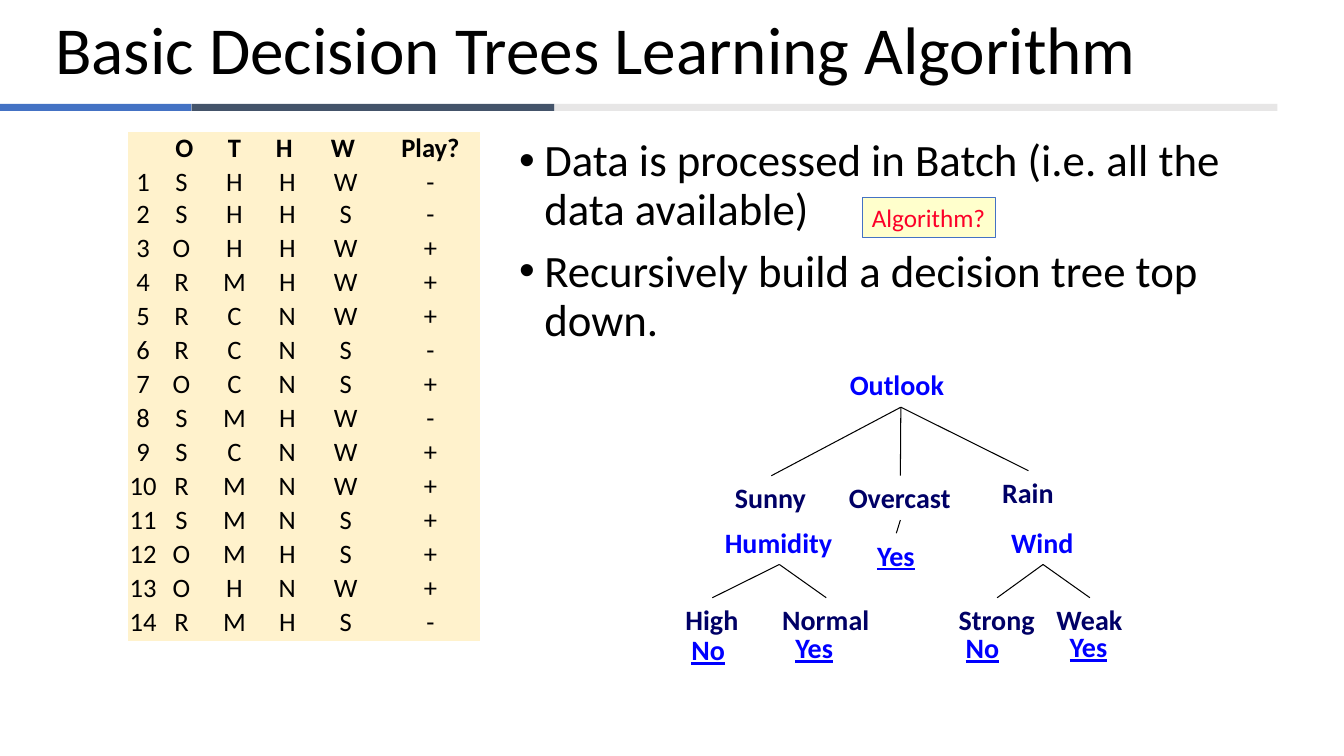
from lxml import etree
from pptx import Presentation
from pptx.dml.color import RGBColor
from pptx.enum.shapes import MSO_CONNECTOR, MSO_SHAPE
from pptx.enum.text import MSO_ANCHOR, MSO_AUTO_SIZE, PP_ALIGN
from pptx.oxml.ns import qn
from pptx.util import Inches, Pt

RECTANGLE = MSO_SHAPE.RECTANGLE
STRAIGHT = MSO_CONNECTOR.STRAIGHT
MIDDLE = MSO_ANCHOR.MIDDLE
CENTER = PP_ALIGN.CENTER
GROW = MSO_AUTO_SIZE.SHAPE_TO_FIT_TEXT
TOP, BOTTOM = 0, 2  # connection sites

BLACK = RGBColor(0x00, 0x00, 0x00)
BLUE = RGBColor(0x44, 0x72, 0xC4)
SLATE = RGBColor(0x44, 0x54, 0x6A)
LIGHT_GRAY = RGBColor(0xE7, 0xE6, 0xE6)
CREAM = RGBColor(0xFF, 0xF2, 0xCC)
PALE_YELLOW = RGBColor(0xFF, 0xFF, 0xCC)
RED = RGBColor(0xFC, 0x01, 0x28)
ATTRIBUTE_BLUE = RGBColor(0x00, 0x00, 0xFF)
VALUE_NAVY = RGBColor(0x00, 0x00, 0x66)

FONT = "Calibri"
NO_GRID_STYLE = "{2D5ABB26-0587-4C30-8999-92F81FD0307C}"

HEADINGS = ["", " O", "T", "H ", "W ", "Play?"]
DAYS = ["SHHW-", "SHHS-", "OHHW+", "RMHW+", "RCNW+", "RCNS-", "OCNS+",
        "SMHW-", "SCNW+", "RMNW+", "SMNS+", "OMHS+", "OHNW+", "RMHS-"]
COLUMN_WIDTHS = [0.3, 0.46, 0.59, 0.46, 0.7, 0.98]
FIRST_DAY_HEIGHT = 0.31  # slightly lower than the other rows

# Tree labels: text, left and top within the tree's box, width
ATTRIBUTES = [("Outlook", 1.63, 0, 1.21), ("Humidity", 0.39, 1.56, 1.28),
              ("Wind", 3.23, 1.56, 0.83)]
VALUES = [("Sunny", 0.49, 1.12, 0.92), ("Overcast", 1.62, 1.12, 1.22),
          ("Rain", 3.14, 1.07, 0.72), ("High", 0, 2.33, 0.73),
          ("Normal", 0.96, 2.33, 1.07), ("Strong", 2.71, 2.33, 0.96),
          ("Weak", 3.68, 2.33, 0.86)]
OUTCOMES = [("Yes", 1.9, 1.69, 0.58), ("No", 0.06, 2.63, 0.54),
            ("Yes", 1.09, 2.61, 0.58), ("No", 2.78, 2.61, 0.54),
            ("Yes", 3.81, 2.6, 0.58)]
LABEL_HEIGHT = 0.44
BRANCHES = {"Outlook": ["Sunny", "Overcast", "Rain"],
            "Humidity": ["High", "Normal"], "Wind": ["Strong", "Weak"]}


def style(paragraph, size, color, bold=False, underline=False):
    font = paragraph.font
    font.name, font.size, font.bold = FONT, Pt(size), bold
    font.underline = underline
    font.color.rgb = color


def add_rectangle(slide, left, top, width, height, fill):
    shape = slide.shapes.add_shape(RECTANGLE, Inches(left), Inches(top),
                                   Inches(width), Inches(height))
    shape.shadow.inherit = False
    shape.fill.solid()
    shape.fill.fore_color.rgb = fill
    shape.line.fill.background()
    return shape


def add_text_box(slide, left, top, width, height, wrap=True):
    box = slide.shapes.add_textbox(Inches(left), Inches(top),
                                   Inches(width), Inches(height))
    box.text_frame.word_wrap = wrap
    return box


def add_title(slide, left, top, width, height):
    frame = add_text_box(slide, left, top, width, height).text_frame
    frame.vertical_anchor = MIDDLE
    paragraph = frame.paragraphs[0]
    paragraph.text = "Basic Decision Trees Learning Algorithm"
    paragraph.line_spacing = 0.9
    style(paragraph, 48, BLACK)


def add_rule(slide, left, top, height):
    for width, color in [(1.9, BLUE), (3.6, SLATE), (7.17, LIGHT_GRAY)]:
        add_rectangle(slide, left, top, width, height, color)
        left += width


def add_bullets(slide, left, top, width, height):
    frame = add_text_box(slide, left, top, width, height).text_frame
    points = ["Data is processed in Batch (i.e. all the data available)",
              "Recursively build a decision tree top down."]
    for index, point in enumerate(points):
        paragraph = frame.add_paragraph() if index else frame.paragraphs[0]
        paragraph.text = point
        paragraph.line_spacing = 0.9
        if index:
            paragraph.space_before = Pt(10)
        properties = paragraph._p.get_or_add_pPr()
        properties.set("marL", str(Inches(0.25)))
        properties.set("indent", str(Inches(-0.25)))
        etree.SubElement(properties, qn("a:buFont"), typeface="Arial")
        etree.SubElement(properties, qn("a:buChar"), char="•")
        style(paragraph, 32, BLACK)


def add_callout(slide, left, top, width, height):
    shape = add_rectangle(slide, left, top, width, height, PALE_YELLOW)
    shape.line.color.rgb = BLUE
    shape.line.width = Pt(0.75)
    frame = shape.text_frame
    frame.word_wrap = False
    frame.vertical_anchor = MIDDLE
    paragraph = frame.paragraphs[0]
    paragraph.text = "Algorithm?"
    paragraph.alignment = CENTER
    style(paragraph, 18, RED)


def add_data_table(slide, left, top, width, height):
    rows = [HEADINGS] + [[str(number), *day]
                         for number, day in enumerate(DAYS, 1)]
    table = slide.shapes.add_table(len(rows), len(HEADINGS), Inches(left),
                                   Inches(top), Inches(width),
                                   Inches(height)).table
    table._tbl.tblPr.find(qn("a:tableStyleId")).text = NO_GRID_STYLE
    table.first_row = table.horz_banding = False
    for column, column_width in zip(table.columns, COLUMN_WIDTHS):
        column.width = Inches(column_width)
    row_height = (height - FIRST_DAY_HEIGHT) / (len(rows) - 1)
    for row_index, values in enumerate(rows):
        table.rows[row_index].height = Inches(
            FIRST_DAY_HEIGHT if row_index == 1 else row_height)
        for column_index, value in enumerate(values):
            cell = table.cell(row_index, column_index)
            cell.margin_left = cell.margin_right = 0
            cell.margin_top = cell.margin_bottom = 0
            cell.fill.solid()
            cell.fill.fore_color.rgb = CREAM
            paragraph = cell.text_frame.paragraphs[0]
            paragraph.text = value
            paragraph.alignment = CENTER
            style(paragraph, 19, BLACK, bold=row_index == 0)


def add_branch(slide, parent, child):
    connector = slide.shapes.add_connector(STRAIGHT, 0, 0, 0, 0)
    connector.begin_connect(parent, BOTTOM)
    connector.end_connect(child, TOP)
    connector.line.color.rgb = BLACK
    connector.line.width = Pt(0.75)
    etree.SubElement(connector._element.spPr, qn("a:effectLst"))


def add_tree(slide, left, top):
    def add_label(text, x, y, width, color, underline=False):
        box = add_text_box(slide, left + x, top + y, width, LABEL_HEIGHT,
                           wrap=False)
        box.text_frame.auto_size = GROW
        paragraph = box.text_frame.paragraphs[0]
        paragraph.text = text
        style(paragraph, 20, color, bold=True, underline=underline)
        return box

    nodes = {}
    for labels, color in [(ATTRIBUTES, ATTRIBUTE_BLUE), (VALUES, VALUE_NAVY)]:
        for label in labels:
            nodes[label[0]] = add_label(*label, color)
    leaves = [add_label(*label, ATTRIBUTE_BLUE, underline=True)
              for label in OUTCOMES]

    for parent, children in BRANCHES.items():
        for child in children:
            add_branch(slide, nodes[parent], nodes[child])
    add_branch(slide, nodes["Overcast"], leaves[0])


def main():
    presentation = Presentation()
    presentation.slide_width = Inches(13.33)
    presentation.slide_height = Inches(7.5)
    slide = presentation.slides.add_slide(presentation.slide_layouts[6])
    add_rule(slide, 0, 1.03, 0.07)
    add_title(slide, 0.45, 0.02, 12, 1.01)
    add_bullets(slide, 5.05, 1.32, 7.58, 5.38)
    add_callout(slide, 8.55, 1.96, 1.32, 0.4)
    add_tree(slide, 6.7, 3.6)
    add_data_table(slide, 1.27, 1.31, sum(COLUMN_WIDTHS), 5.04)
    presentation.save("out.pptx")


if __name__ == "__main__":
    main()
